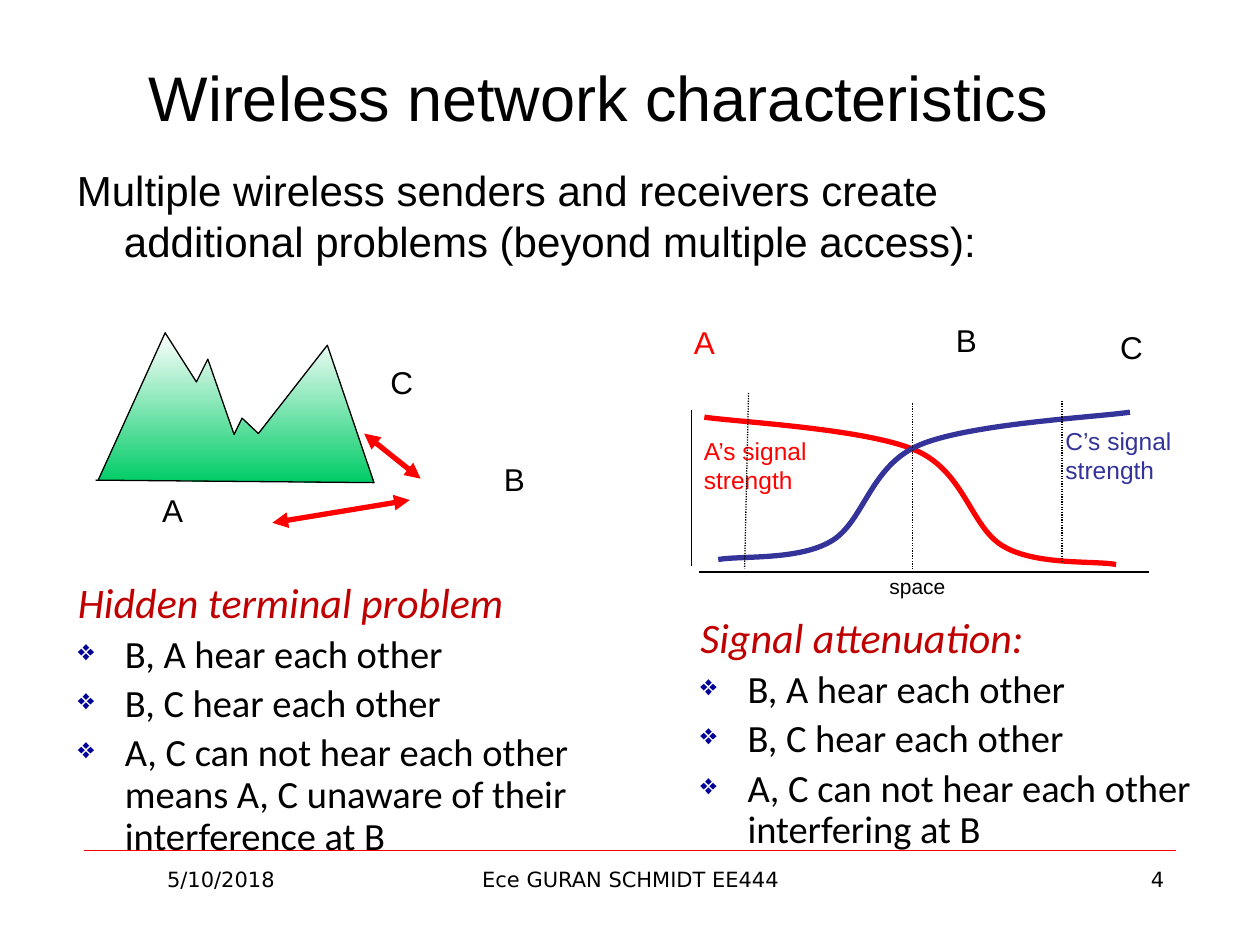
from dataclasses import dataclass

from lxml.etree import SubElement
from pptx import Presentation
from pptx.dml.color import RGBColor as RGB
from pptx.enum.dml import MSO_LINE
from pptx.enum.shapes import MSO_CONNECTOR
from pptx.enum.text import MSO_ANCHOR as Anchor, PP_ALIGN as Align
from pptx.oxml.ns import qn
from pptx.util import Cm, Pt


@dataclass(frozen=True)
class Theme:
    black: str = "000000"
    white: str = "FFFFFF"
    red: str = "FF0000"
    blue: str = "333399"
    green: str = "00CC66"
    heading: str = "C00000"
    bullet: str = "000099"
    sans: str = "Arial"
    list_font: str = "Calibri"
    footer_font: str = "DejaVu Sans"
    title_size: int = 36
    lead_size: int = 24
    list_size: int = 22
    label_size: int = 18
    curve_size: int = 14
    small_size: int = 12
    thin: float = 0.75
    thick: float = 3


T = Theme()


class SlideBuilder:
    def __init__(self, slide):
        self.s = slide

    def text(self, box, text, size, color=T.black, font=T.sans,
             align=Align.LEFT, wrap=True):
        """Add a text box; each line of the text is a paragraph."""
        sp = self.s.shapes.add_textbox(*map(Cm, box))
        tf = sp.text_frame
        tf.word_wrap = wrap
        tf.text = text
        for p in tf.paragraphs:
            p.alignment = align
            self.style(p, size, color, font)
        return tf

    def style(self, p, size, color, font, italic=False):
        for r in p.runs:
            r.font.size = Pt(size)
            r.font.name = font
            r.font.italic = italic
            r.font.color.rgb = RGB.from_string(color)

    def hang(self, p):
        pPr = p._p.get_or_add_pPr()
        pPr.set("marL", str(Cm(0.95)))
        pPr.set("indent", str(Cm(-0.95)))
        return pPr

    def bullets(self, box, heading, items):
        tf = self.text(box, "\n".join([heading, *items]), T.list_size,
                       font=T.list_font)
        for i, p in enumerate(tf.paragraphs):
            pPr = self.hang(p)
            p.line_spacing = 0.9
            if i == 0:
                self.style(p, T.lead_size, T.heading, T.list_font, italic=True)
                continue
            p.space_before = Pt(4.4)
            color = SubElement(pPr, qn("a:buClr"))
            SubElement(color, qn("a:srgbClr"), val=T.bullet)
            SubElement(pPr, qn("a:buSzPct"), val="75000")
            SubElement(pPr, qn("a:buChar"), char="❖")

    def line(self, x1, y1, x2, y2, color=T.black, width=T.thin,
             dotted=False, arrows=False):
        c = self.s.shapes.add_connector(
            MSO_CONNECTOR.STRAIGHT, *map(Cm, (x1, y1, x2, y2)))
        c.line.color.rgb = RGB.from_string(color)
        c.line.width = Pt(width)
        if dotted:
            c.line.dash_style = MSO_LINE.ROUND_DOT
        if arrows:
            for end in ("a:headEnd", "a:tailEnd"):
                SubElement(c.line._ln, qn(end), type="triangle")
        SubElement(c._element.spPr, qn("a:effectLst"))

    def outline(self, points, color, width):
        (x, y), *rest = [(Cm(x), Cm(y)) for x, y in points]
        fb = self.s.shapes.build_freeform(x, y)
        fb.add_line_segments(rest, close=False)
        sp = fb.convert_to_shape()
        sp.shadow.inherit = False
        sp.line.color.rgb = RGB.from_string(color)
        sp.line.width = Pt(width)
        return sp

    def mountain(self, points):
        sp = self.outline(points, T.black, T.thin)
        sp.fill.gradient()
        sp.fill.gradient_angle = 270
        for stop, color, pos in zip(sp.fill.gradient_stops,
                                    (T.white, T.green), (0, 1)):
            stop.color.rgb = RGB.from_string(color)
            stop.position = pos

    def curve(self, points, color):
        """Draw a Bezier curve: a start, then two controls and an end each."""
        sp = self.outline(points, color, T.thick)
        sp.fill.background()
        steps = list(sp._element.iter(qn("a:lnTo")))
        parent = steps[0].getparent()
        for i in range(0, len(steps), 3):
            bezier = SubElement(parent, qn("a:cubicBezTo"))
            for step in steps[i:i + 3]:
                bezier.append(step[0])
                parent.remove(step)


def draw_hidden_terminal(b):
    b.mountain([(1.98, 9.68), (3.33, 6.71), (3.96, 7.7), (4.19, 7.24),
                (4.72, 8.76), (4.88, 8.43), (5.21, 8.74), (6.6, 6.96),
                (7.54, 9.73), (1.93, 9.68)])
    for ends in ((5.49, 10.54, 8.26, 10.08), (7.34, 8.74, 8.48, 9.65)):
        b.line(*ends, T.red, T.thick, arrows=True)
    for name, x, y in (("A", 3.02, 9.78), ("B", 9.91, 9.14), ("C", 7.62, 7.19)):
        b.text((x, y, 0.96, 1.02), name, T.label_size, wrap=False)
    b.bullets((1.32, 11.61, 11.53, 6.22), "Hidden terminal problem", [
        "B, A hear each other",
        "B, C hear each other",
        "A, C can not hear each other means A, C unaware of their "
        "interference at B"])


def draw_signal_attenuation(b):
    for name, x, y, color in (("A", 13.74, 6.38, T.red),
                              ("B", 19.02, 6.35, T.black),
                              ("C", 22.33, 6.48, T.black)):
        b.text((x, y, 0.96, 1.02), name, T.label_size, color, wrap=False)
    b.text((13.94, 8.66, 2.59, 1.45), "A’s signal\nstrength",
           T.curve_size, T.red)
    b.line(14.1, 11.53, 23.16, 11.53)
    b.line(13.94, 8.26, 13.94, 11.4)
    a_signal = [(14.2, 8.41), (14.88, 8.51), (17.42, 8.64), (18.44, 9.07),
                (19.46, 9.5), (19.56, 10.64), (20.24, 11.02),
                (20.9, 11.4), (22.05, 11.3), (22.5, 11.38)]
    c_signal = [(36.98 - x, y - 0.1) for x, y in a_signal]
    b.curve(a_signal, T.red)
    b.text((17.68, 11.43, 1.65, 0.76), "space", T.small_size, wrap=False)
    b.curve(c_signal, T.blue)
    b.text((21.23, 8.46, 2.67, 1.45), "C’s signal\nstrength",
           T.curve_size, T.blue, wrap=False)
    for ends in ((15.09, 7.92, 15.01, 11.46), (18.39, 8.13, 18.39, 11.48),
                 (21.41, 8.08, 21.41, 11.35)):
        b.line(*ends, dotted=True)
    b.bullets((13.87, 12.32, 11.53, 3.71), "Signal attenuation:", [
        "B, A hear each other",
        "B, C hear each other",
        "A, C can not hear each other interfering at B"])


def main():
    prs = Presentation()
    prs.slide_width, prs.slide_height = Cm(25.4), Cm(19.05)
    b = SlideBuilder(prs.slides.add_slide(prs.slide_layouts[6]))

    b.line(1.7, 17.15, 23.7, 17.15, T.red, 0.25)
    title = b.text((1.27, 0.36, 21.59, 3.18), "Wireless network characteristics",
                   T.title_size, align=Align.CENTER)
    title.vertical_anchor = Anchor.MIDDLE
    lead = b.text((1.3, 3.2, 21.59, 3.1),
                  "Multiple wireless senders and receivers create additional "
                  "problems (beyond multiple access):", T.lead_size)
    b.hang(lead.paragraphs[0])

    draw_hidden_terminal(b)
    draw_signal_attenuation(b)

    for text, x, width, align in (
            ("5/10/2018", 1.7, 5.51, Align.CENTER),
            ("Ece GURAN SCHMIDT EE444", 8.69, 8.05, Align.CENTER),
            ("4", 18.21, 5.51, Align.RIGHT)):
        b.text((x, 17.35, width, 1.32), text, T.small_size,
               font=T.footer_font, align=align)
    prs.save("out.pptx")


if __name__ == "__main__":
    main()
